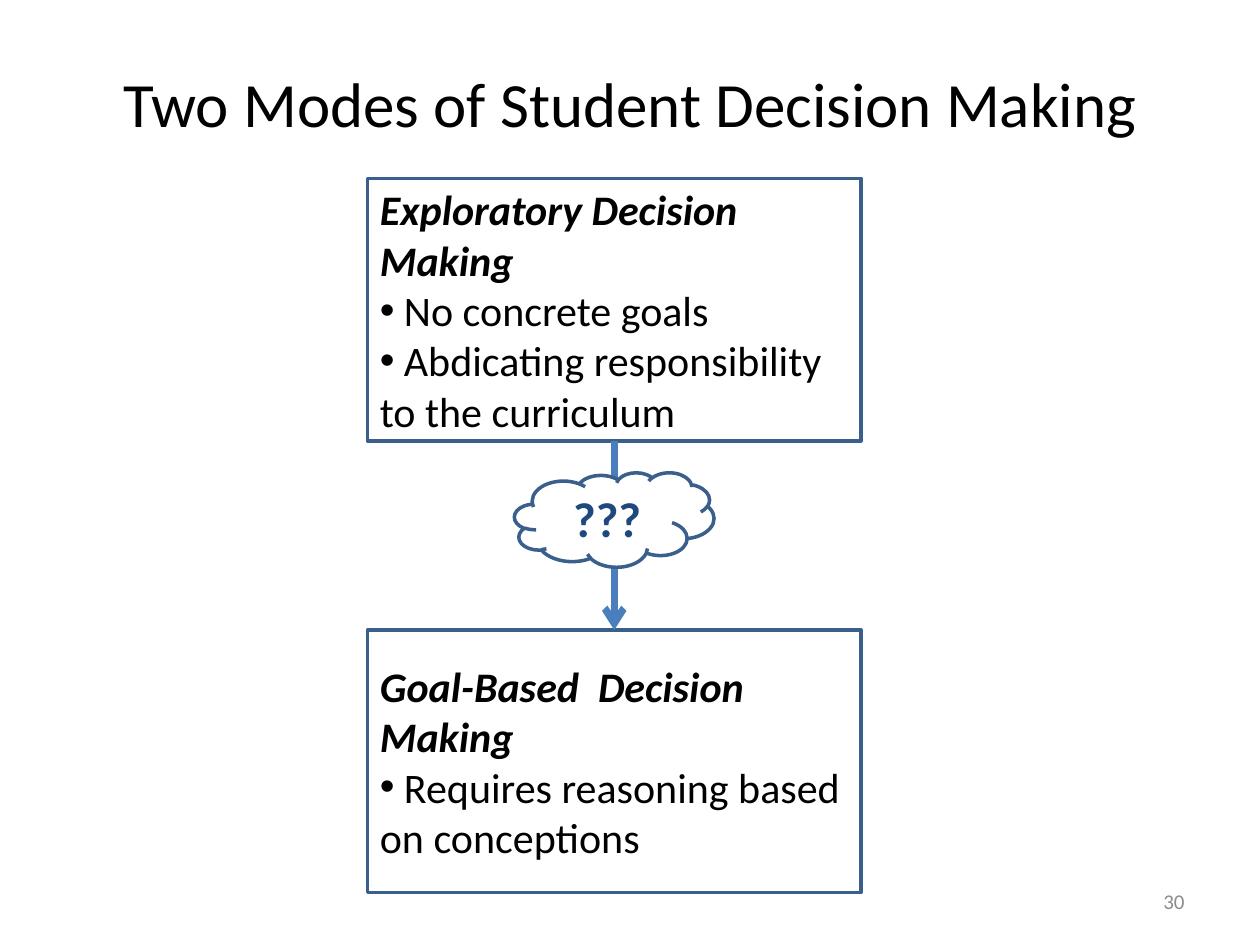
"""Build the slide on two modes of student decision making."""
from dataclasses import dataclass

from lxml import etree
from pptx import Presentation
from pptx import util as u
from pptx.dml.color import RGBColor
from pptx.enum import shapes, text
from pptx.oxml.ns import qn


@dataclass(frozen=True)
class Theme:
    """Colours, font and type sizes of the slide."""
    font: str = "Calibri"
    ink: str = "000000"
    paper: str = "FFFFFF"
    outline: str = "3A5F8C"
    arrow: str = "4B7EBC"
    accent: str = "1F497D"
    muted: str = "8C8C8C"
    title: int = 36
    mark: int = 28
    body: int = 24
    number: int = 12


THEME = Theme()
BOX_LEFT, BOX_WIDTH, BOX_HEIGHT = 210, 282, 150
BOX_TOPS = (102, 360)
CENTER = BOX_LEFT + BOX_WIDTH / 2
MODES = (
    ("Exploratory Decision Making",
     ("No concrete goals", "Abdicating responsibility to the curriculum")),
    ("Goal-Based  Decision Making",
     ("Requires reasoning based on conceptions",)),
)


def add_span(para, words, size, color, bold=False, italic=False):
    """Add one formatted run to a paragraph."""
    span = para.add_run()
    span.text = words
    font = span.font
    font.name, font.size = THEME.font, u.Pt(size)
    font.bold, font.italic = bold, italic
    font.color.rgb = RGBColor.from_string(color)


def add_outlined(slide, kind, left, top, width, height):
    """Add a white outlined shape and return its text frame."""
    shape = slide.shapes.add_shape(
        kind, u.Pt(left), u.Pt(top), u.Pt(width), u.Pt(height))
    shape.shadow.inherit = False
    shape.fill.solid()
    shape.fill.fore_color.rgb = RGBColor.from_string(THEME.paper)
    shape.line.color.rgb = RGBColor.from_string(THEME.outline)
    shape.line.width = u.Pt(2)
    frame = shape.text_frame
    frame.word_wrap = True
    frame.vertical_anchor = text.MSO_ANCHOR.MIDDLE
    return frame


def add_bullet(para):
    """Give a paragraph a round bullet without a hanging indent."""
    props = para._p.get_or_add_pPr()
    etree.SubElement(props, qn("a:buFont"), typeface="Arial")
    etree.SubElement(props, qn("a:buChar"), char="•")


def add_mode(slide, top, heading, points):
    """Add a box with a heading and bulleted points."""
    frame = add_outlined(slide, shapes.MSO_SHAPE.RECTANGLE,
                         BOX_LEFT, top, BOX_WIDTH, BOX_HEIGHT)
    para = frame.paragraphs[0]
    para.alignment = text.PP_ALIGN.LEFT
    add_span(para, heading, THEME.body, THEME.ink, bold=True, italic=True)
    for point in points:
        para = frame.add_paragraph()
        para.alignment = text.PP_ALIGN.LEFT
        add_bullet(para)
        add_span(para, " " + point, THEME.body, THEME.ink)


def add_arrow(slide, x, top, bottom):
    """Add a vertical arrow pointing down."""
    arrow = slide.shapes.add_connector(
        shapes.MSO_CONNECTOR.STRAIGHT, u.Pt(x), u.Pt(top), u.Pt(x), u.Pt(bottom))
    arrow.line.color.rgb = RGBColor.from_string(THEME.arrow)
    arrow.line.width = u.Pt(4)
    etree.SubElement(arrow.line._get_or_add_ln(), qn("a:tailEnd"), type="arrow")
    etree.SubElement(arrow._element.spPr, qn("a:effectLst"))


def add_cloud(slide, words):
    """Add the cloud that sits over the arrow."""
    width = 114
    frame = add_outlined(slide, shapes.MSO_SHAPE.CLOUD,
                         CENTER - width / 2, 270, width, 54)
    para = frame.paragraphs[0]
    para.alignment = text.PP_ALIGN.CENTER
    add_span(para, words, THEME.mark, THEME.accent, bold=True)


def set_title(slide, words):
    """Place and fill the title placeholder."""
    title = slide.shapes.title
    title.left, title.top = u.Pt(36), u.Pt(21.6)
    title.width, title.height = u.Pt(648), u.Pt(74)
    title.text_frame.vertical_anchor = text.MSO_ANCHOR.MIDDLE
    para = title.text_frame.paragraphs[0]
    para.alignment = text.PP_ALIGN.CENTER
    add_span(para, words, THEME.title, THEME.ink)


def add_number(slide, words):
    """Add the page number at the lower right."""
    box = slide.shapes.add_textbox(u.Pt(516), u.Pt(500.5), u.Pt(168), u.Pt(28.8))
    frame = box.text_frame
    frame.word_wrap = True
    frame.vertical_anchor = text.MSO_ANCHOR.MIDDLE
    para = frame.paragraphs[0]
    para.alignment = text.PP_ALIGN.RIGHT
    add_span(para, words, THEME.number, THEME.muted)


def main():
    """Build and save the deck."""
    deck = Presentation()
    deck.slide_width, deck.slide_height = u.Pt(720), u.Pt(540)
    slide = deck.slides.add_slide(deck.slide_layouts[5])
    set_title(slide, "Two Modes of Student Decision Making")
    for top, (heading, points) in zip(BOX_TOPS, MODES):
        add_mode(slide, top, heading, points)
    add_arrow(slide, CENTER, BOX_TOPS[0] + BOX_HEIGHT, BOX_TOPS[1])
    add_cloud(slide, "???")
    add_number(slide, "30")
    deck.save("out.pptx")


main()
